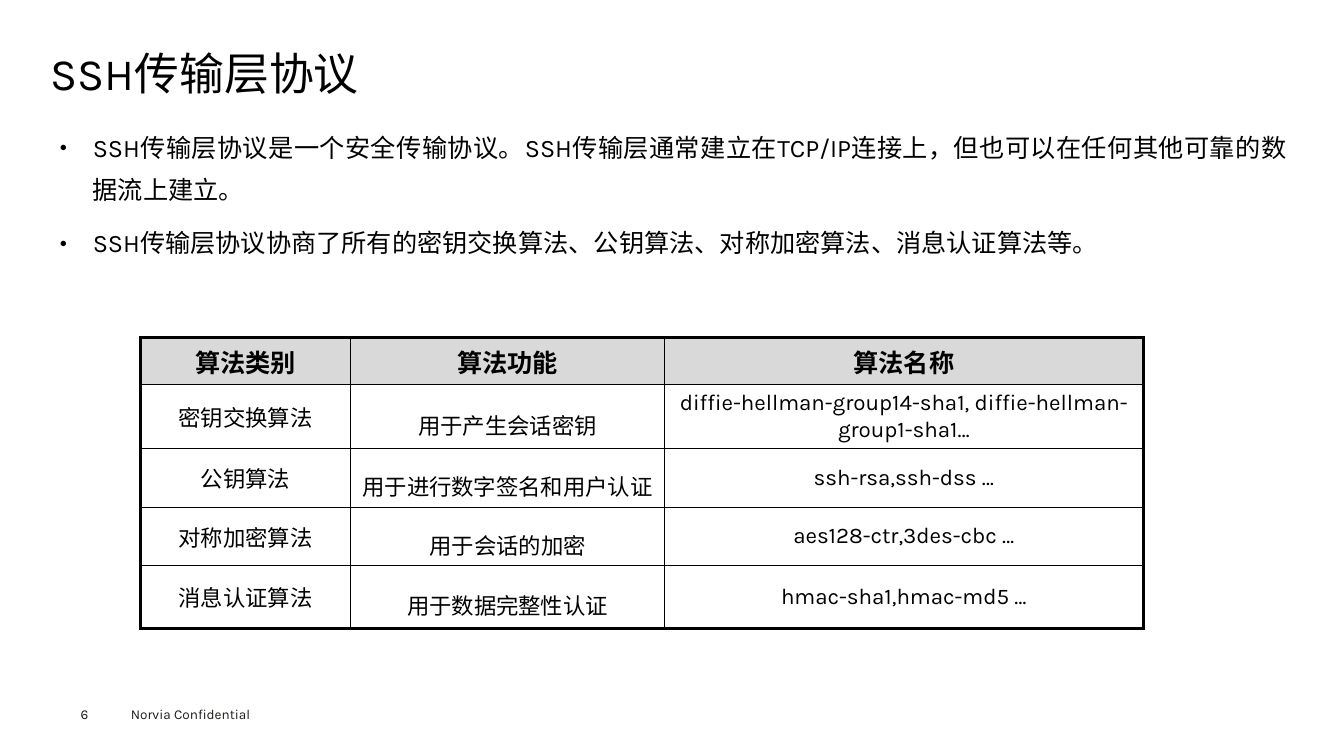
"""Build a slide on the SSH transport layer protocol with its table of algorithms."""
from lxml.etree import SubElement
from pptx import Presentation
from pptx.dml.color import RGBColor
from pptx.enum.text import MSO_ANCHOR, MSO_AUTO_SIZE, PP_ALIGN
from pptx.oxml.ns import qn
from pptx.util import Inches, Pt

BLACK = RGBColor(0x00, 0x00, 0x00)
WHITE = RGBColor(0xFF, 0xFF, 0xFF)
HEADER_GREY = RGBColor(0xD9, 0xD9, 0xD9)
FOOTER_GREY = RGBColor(0x1D, 0x1D, 0x1B)


def write(paragraph, text, size=16, color=BLACK, bold=False, align=PP_ALIGN.LEFT, spacing=1.0):
    paragraph.alignment = align
    paragraph.line_spacing = spacing
    run = paragraph.add_run()
    run.text = text
    run.font.name = "Karla"
    run.font.size = Pt(size)
    run.font.bold = bold
    run.font.color.rgb = color


def add_border(cell, side, width):
    line = SubElement(cell._tc.get_or_add_tcPr(), qn(f"a:ln{side}"), w=str(Pt(width)))
    SubElement(SubElement(line, qn("a:solidFill")), qn("a:srgbClr"), val=str(BLACK))


presentation = Presentation()
presentation.slide_width = Inches(13.33)
presentation.slide_height = Inches(7.5)
slide = presentation.slides.add_slide(presentation.slide_layouts[1])

heading = slide.shapes.title
heading.left, heading.top = Inches(0.5), Inches(0.49)
heading.width, heading.height = Inches(12.35), Inches(0.53)
heading_frame = heading.text_frame
heading_frame.margin_left = heading_frame.margin_right = 0
heading_frame.margin_top = heading_frame.margin_bottom = 0
heading_frame.vertical_anchor = MSO_ANCHOR.MIDDLE
heading_frame.auto_size = MSO_AUTO_SIZE.NONE
write(heading_frame.paragraphs[0], "SSH传输层协议", size=32, spacing=0.9)

overview = slide.placeholders[1]
overview.left, overview.top = Inches(0.5), Inches(1.15)
overview.width, overview.height = Inches(12.35), Inches(5.34)
overview_frame = overview.text_frame
overview_frame.margin_left = overview_frame.margin_right = Inches(0.09)
overview_frame.margin_top = overview_frame.margin_bottom = Inches(0.04)
overview_frame.auto_size = MSO_AUTO_SIZE.NONE

statements = [
    "SSH传输层协议是一个安全传输协议。SSH传输层通常建立在TCP/IP连接上，但也可以在任何其他可靠的数据流上建立。",
    "SSH传输层协议协商了所有的密钥交换算法、公钥算法、对称加密算法、消息认证算法等。",
]
for index, statement in enumerate(statements):
    paragraph = overview_frame.add_paragraph() if index else overview_frame.paragraphs[0]
    properties = paragraph._p.get_or_add_pPr()
    properties.set("marL", str(Inches(0.33)))
    properties.set("indent", str(-Inches(0.33)))
    SubElement(properties, qn("a:buSzPct"), val="50000")
    SubElement(properties, qn("a:buChar"), char="●")
    paragraph.space_before = Pt(7.9 if index else 0)
    write(paragraph, statement, size=18, align=PP_ALIGN.JUSTIFY, spacing=1.4)

algorithms = [
    ("算法类别", "算法功能", "算法名称"),
    ("密钥交换算法", "用于产生会话密钥", "diffie-hellman-group14-sha1, diffie-hellman-group1-sha1…"),
    ("公钥算法", "用于进行数字签名和用户认证", "ssh-rsa,ssh-dss …"),
    ("对称加密算法", "用于会话的加密", "aes128-ctr,3des-cbc …"),
    ("消息认证算法", "用于数据完整性认证", "hmac-sha1,hmac-md5 …"),
]
column_widths = [2.09, 3.11, 4.75]
row_heights = [0.35, 0.64, 0.53, 0.42, 0.62]
last_row, last_column = len(row_heights) - 1, len(column_widths) - 1

algorithm_table = slide.shapes.add_table(
    len(row_heights), len(column_widths), Inches(1.39), Inches(3.35),
    Inches(sum(column_widths)), Inches(sum(row_heights))).table
algorithm_table.first_row = False
algorithm_table.horz_banding = False
for column, width in zip(algorithm_table.columns, column_widths):
    column.width = Inches(width)
for row, height in zip(algorithm_table.rows, row_heights):
    row.height = Inches(height)

for r, entries in enumerate(algorithms):
    for c, entry in enumerate(entries):
        cell = algorithm_table.cell(r, c)
        is_header = r == 0
        outer_edges = {"L": c == 0, "R": c == last_column, "T": is_header, "B": r == last_row}
        for side, is_outer in outer_edges.items():
            add_border(cell, side, 2.25 if is_outer else 1)
        cell.fill.solid()
        cell.fill.fore_color.rgb = HEADER_GREY if is_header else WHITE
        cell.vertical_anchor = MSO_ANCHOR.MIDDLE
        write(cell.text_frame.paragraphs[0], entry, size=18 if is_header else 16,
              bold=is_header, align=PP_ALIGN.CENTER,
              spacing=1.5 if c == 1 and not is_header else 1.0)

footers = [
    ("Norvia Confidential", 1.2, 6.95, 1.6, 0.27, 0.1, 0.05),
    ("6", 0.8, 7, 0.55, 0.16, 0, 0),
]
for text, left, top, width, height, side_margin, edge_margin in footers:
    footer = slide.shapes.add_textbox(Inches(left), Inches(top), Inches(width), Inches(height))
    footer_frame = footer.text_frame
    footer_frame.word_wrap = True
    footer_frame.margin_left = footer_frame.margin_right = Inches(side_margin)
    footer_frame.margin_top = footer_frame.margin_bottom = Inches(edge_margin)
    write(footer_frame.paragraphs[0], text, size=9.7, color=FOOTER_GREY)

presentation.save("out.pptx")
